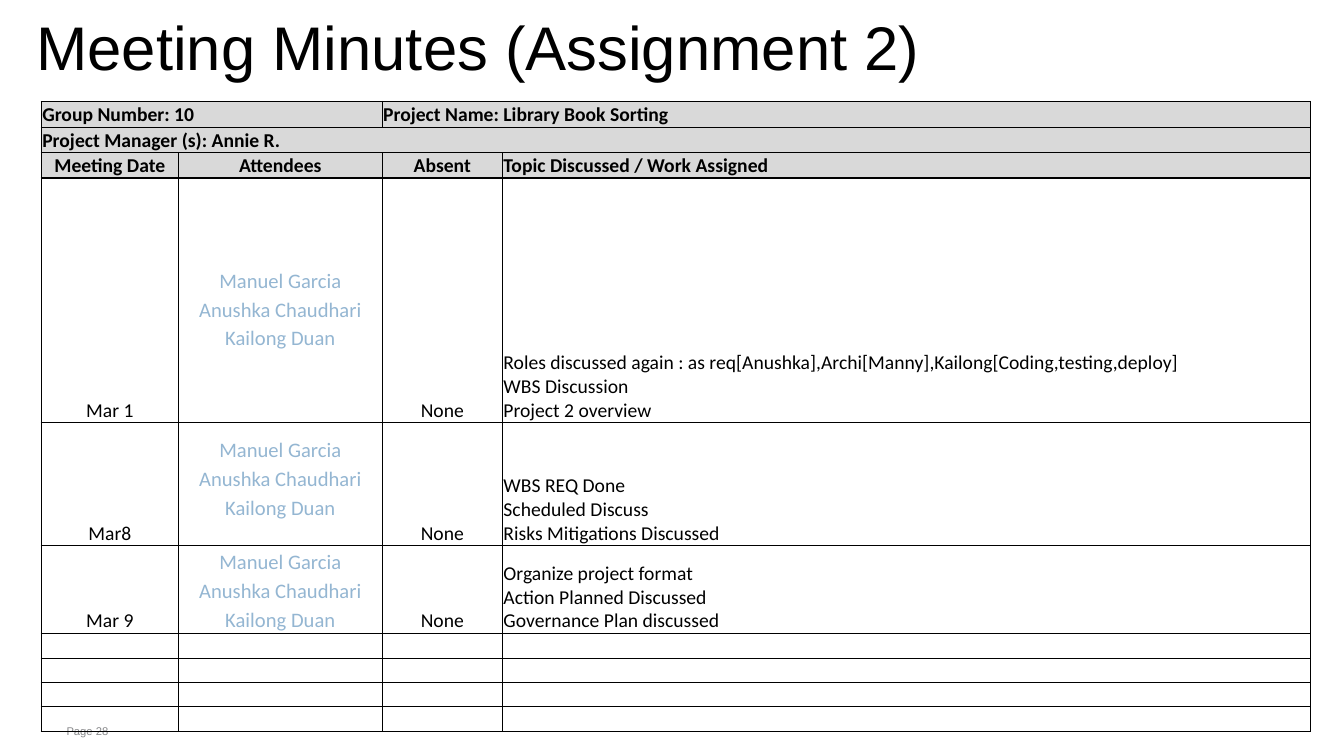
from lxml.etree import SubElement
from pptx import Presentation
from pptx.dml.color import RGBColor
from pptx.enum.text import MSO_ANCHOR as Anchor, MSO_AUTO_SIZE as AutoSize, PP_ALIGN as Align
from pptx.oxml.ns import qn
from pptx.util import Pt

COLORS = {"ink": "000000", "header": "D9D9D9", "attendee": "94B6D2", "footer": "87888A"}
COL_WIDTHS = [98, 145.5, 86, 577]
ROW_HEIGHTS = [18.2, 18.2, 18.2, 174.5, 87.9, 62.1, 18.3, 17, 17, 18]
HEADER_ROWS = 3
ATTENDEES = ["Manuel Garcia", "Anushka Chaudhari", "Kailong Duan"]

# Row, column, columns covered, wording
BANNERS = [
    (0, 0, 2, "Group Number: 10"),
    (0, 2, 2, "Project Name: Library Book Sorting"),
    (1, 0, 4, "Project Manager (s): Annie R."),
]
HEADINGS = ["Meeting Date", "Attendees", "Absent", "Topic Discussed / Work Assigned"]

# Date, topics, space below the attendees
MEETINGS = [
    ("Mar 1", ["Roles discussed again : as req[Anushka],Archi[Manny],Kailong[Coding,testing,deploy]",
               "WBS Discussion", "Project 2 overview"], 50.5),
    ("Mar8", ["WBS REQ Done", "Scheduled Discuss", "Risks Mitigations Discussed"], 17),
    ("Mar 9", ["Organize project format", "Action Planned Discussed",
               "Governance Plan discussed"], 0),
]


def rgb(name):
    return RGBColor.from_string(COLORS[name])


def write(tf, lines, size=14, font="Calibri", color="ink", bold=False,
          align=Align.LEFT, spacing=None):
    for i, line in enumerate(lines):
        p = tf.paragraphs[0] if i == 0 else tf.add_paragraph()
        p.alignment = align
        if spacing:
            p.line_spacing = spacing
        r = p.add_run()
        r.text = line
        r.font.size, r.font.name, r.font.bold = Pt(size), font, bold
        r.font.color.rgb = rgb(color)


class MinutesSlide:
    def __init__(self, prs):
        self.slide = prs.slides.add_slide(prs.slide_layouts[5])

    def frame(self, sp, box, insets, anchor):
        sp.left, sp.top, sp.width, sp.height = map(Pt, box)
        tf = sp.text_frame
        tf.word_wrap, tf.auto_size, tf.vertical_anchor = True, AutoSize.NONE, anchor
        tf.margin_left = tf.margin_right = Pt(insets[0])
        tf.margin_top = tf.margin_bottom = Pt(insets[1])
        return tf

    def title(self, text, box):
        tf = self.frame(self.slide.shapes.title, box, (6, 0), Anchor.MIDDLE)
        write(tf, [text], size=44, font="Arial", spacing=0.75)

    def footer(self, text, box):
        sp = self.slide.shapes.add_textbox(*map(Pt, box))
        write(self.frame(sp, box, (6, 3.6), Anchor.TOP), [text],
              size=8, font="Arial", color="footer")

    def border(self, cell, side, width):
        ln = SubElement(cell._tc.get_or_add_tcPr(), qn(f"a:ln{side}"), w=str(Pt(width)))
        SubElement(SubElement(ln, qn("a:solidFill")), qn("a:srgbClr"), val=COLORS["ink"])

    def table(self, left, top):
        """Add the bordered grid with shaded header rows and empty cells."""
        rows, cols = len(ROW_HEIGHTS), len(COL_WIDTHS)
        table = self.slide.shapes.add_table(
            rows, cols, Pt(left), Pt(top), Pt(sum(COL_WIDTHS)), Pt(sum(ROW_HEIGHTS))).table
        table.first_row = table.horz_banding = False
        for column, width in zip(table.columns, COL_WIDTHS):
            column.width = Pt(width)
        for row, height in zip(table.rows, ROW_HEIGHTS):
            row.height = Pt(height)
        for r in range(rows):
            for c in range(cols):
                cell = table.cell(r, c)
                cell.margin_left = cell.margin_right = cell.margin_top = Pt(0.7)
                cell.margin_bottom = Pt(0)
                cell.vertical_anchor = Anchor.BOTTOM
                heavy = {"L": c == 0, "R": c == cols - 1, "T": r in (0, HEADER_ROWS),
                         "B": r in (HEADER_ROWS - 1, rows - 1)}
                for side, outer in heavy.items():
                    self.border(cell, side, 1 if outer else 0.75)
                if r < HEADER_ROWS:
                    cell.fill.solid()
                    cell.fill.fore_color.rgb = rgb("header")
                else:
                    cell.fill.background()
                if r >= HEADER_ROWS + len(MEETINGS):
                    # Keeps the unused rows low
                    SubElement(cell.text_frame.paragraphs[0]._p, qn("a:endParaRPr"), sz="1200")
        return table

    def minutes(self, left, top):
        table = self.table(left, top)
        for r, c, span, text in BANNERS:
            cell = table.cell(r, c)
            cell.merge(table.cell(r, c + span - 1))
            write(cell.text_frame, [text], bold=True)
        for c, text in enumerate(HEADINGS):
            align = Align.LEFT if c == len(HEADINGS) - 1 else Align.CENTER
            write(table.cell(HEADER_ROWS - 1, c).text_frame, [text], bold=True, align=align)
        for r, (date, topics, gap) in enumerate(MEETINGS, HEADER_ROWS):
            day, attendees, absent, work = (table.cell(r, c) for c in range(4))
            write(day.text_frame, [date], align=Align.CENTER)
            write(attendees.text_frame, ATTENDEES, size=14.7, color="attendee",
                  align=Align.CENTER, spacing=1.15)
            attendees.margin_bottom = Pt(gap)
            write(absent.text_frame, ["None"], align=Align.CENTER)
            write(work.text_frame, topics)


def main():
    prs = Presentation()
    prs.slide_width, prs.slide_height = Pt(960), Pt(540)
    s = MinutesSlide(prs)
    s.footer("Page 28", (41.5, 514, 777, 17.3))
    s.minutes(29.5, 72.5)
    s.title("Meeting Minutes (Assignment 2)", (20, 18.7, 689, 39.6))
    prs.save("out.pptx")


if __name__ == "__main__":
    main()
